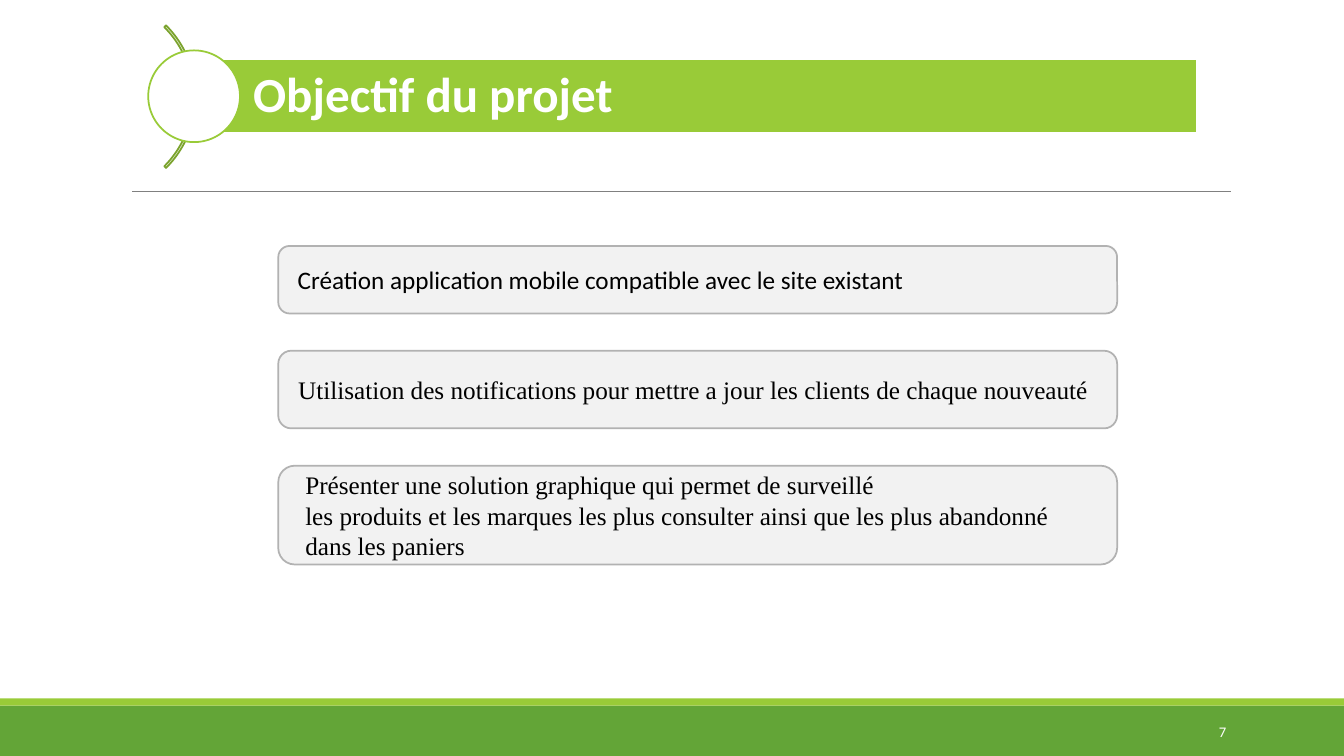
import pptx
import pptx.util
import pptx.dml.color
import pptx.enum.shapes
import pptx.enum.text
import pptx.oxml.ns
import lxml.etree
from dataclasses import dataclass

Inches = pptx.util.Inches
Pt = pptx.util.Pt
SHAPE = pptx.enum.shapes.MSO_SHAPE
ALIGN = pptx.enum.text.PP_ALIGN
MIDDLE = pptx.enum.text.MSO_ANCHOR.MIDDLE


@dataclass(frozen=True)
class Theme:
    white: str = "FFFFFF"
    black: str = "000000"
    green: str = "99CB38"
    dark_green: str = "63A537"
    arc_green: str = "7BA32D"
    card_fill: str = "F2F2F2"
    card_line: str = "B2B2B2"
    rule_gray: str = "808080"
    sans: str = "Calibri"
    serif: str = "Times New Roman"
    title_size: float = 35
    body_size: float = 18
    number_size: float = 10.5
    outline: float = 1.25
    hairline: float = 0.5


THEME = Theme()


def rgb(color):
    return pptx.dml.color.RGBColor.from_string(color)


def set_values(target, values):
    for name, value in values.items():
        setattr(target, name, value)


def add_block(page, kind, place, fill=None, line=None, adjustments=()):
    """Add a preset shape at (left, top, width, height) in inches."""
    block = page.shapes.add_shape(kind, *map(Inches, place))
    block.shadow.inherit = False
    for index, value in enumerate(adjustments):
        block.adjustments[index] = value
    if fill:
        block.fill.solid()
        block.fill.fore_color.rgb = rgb(fill)
    else:
        block.fill.background()
    if line:
        block.line.color.rgb = rgb(line)
        block.line.width = Pt(THEME.outline)
    else:
        block.line.fill.background()
    return block


def write_text(box, lines, font, color, frame_format=None, para_format=None):
    """Write one paragraph for each line of text."""
    frame = box.text_frame
    set_values(frame, {"word_wrap": True, "vertical_anchor": MIDDLE, **(frame_format or {})})
    for index, line in enumerate(lines):
        para = frame.paragraphs[0] if index == 0 else frame.add_paragraph()
        set_values(para, {"alignment": ALIGN.LEFT, **(para_format or {})})
        span = para.add_run()
        span.text = line
        set_values(span.font, font)
        span.font.color.rgb = rgb(color)


def add_rule(page, left, right, top):
    rule = page.shapes.add_connector(
        pptx.enum.shapes.MSO_CONNECTOR.STRAIGHT,
        Inches(left), Inches(top), Inches(right), Inches(top))
    rule.line.color.rgb = rgb(THEME.rule_gray)
    rule.line.width = Pt(THEME.hairline)
    properties = rule._element.spPr
    lxml.etree.SubElement(properties, pptx.oxml.ns.qn("a:effectLst"))


def add_card(page, top, height, lines, font_name, indent, alignment):
    card = add_block(page, SHAPE.ROUNDED_RECTANGLE, (2.76, top, 8.32, height),
                     THEME.card_fill, THEME.card_line, [0.167])
    write_text(card, lines, {"name": font_name, "size": Pt(THEME.body_size)}, THEME.black,
               {"margin_left": Inches(0.1 + indent)}, {"alignment": alignment})


def add_title(page, title):
    add_block(page, SHAPE.BLOCK_ARC, (-0.06, -0.04, 2, 2),
              line=THEME.arc_green, adjustments=[189, 27, 0.012])
    bar = add_block(page, SHAPE.RECTANGLE, (1.92, 0.59, 9.95, 0.73), THEME.green, THEME.white)
    margin = Inches(0.1)
    write_text(bar, [title],
               {"name": THEME.sans, "size": Pt(THEME.title_size), "bold": True}, THEME.white,
               {"margin_left": Inches(0.59), "margin_right": margin,
                "margin_top": margin, "margin_bottom": margin},
               {"line_spacing": 0.9})
    add_block(page, SHAPE.OVAL, (1.47, 0.5, 0.91, 0.91), THEME.white, THEME.green)


def add_page_number(page, number):
    box = page.shapes.add_textbox(*map(Inches, (10.83, 7.06, 1.43, 0.4)))
    write_text(box, [number], {"name": THEME.sans, "size": Pt(THEME.number_size)},
               THEME.white, para_format={"alignment": ALIGN.RIGHT})


def main():
    deck = pptx.Presentation()
    set_values(deck, {"slide_width": Inches(13.33), "slide_height": Inches(7.5)})
    page = deck.slides.add_slide(deck.slide_layouts[6])

    # Footer bands and heading rule
    add_block(page, SHAPE.RECTANGLE, (0, 7, 13.33, 0.5), THEME.dark_green)
    add_block(page, SHAPE.RECTANGLE, (0, 6.93, 13.33, 0.07), THEME.green)
    add_rule(page, 1.31, 12.21, 1.9)

    # Title
    add_title(page, "Objectif du projet")

    # Objective cards, stacked with an equal gap
    cards = [
        (0.67, ["Création application mobile compatible avec le site existant"],
         THEME.sans, 0.06, ALIGN.LEFT),
        (0.77, ["Utilisation des notifications pour mettre a jour les clients de chaque nouveauté"],
         THEME.serif, 0.06, ALIGN.LEFT),
        (0.98, ["Présenter une solution graphique qui permet de surveillé",
                "les produits et les marques les plus consulter ainsi que les plus abandonné",
                "dans les paniers"],
         THEME.serif, 0.12, ALIGN.JUSTIFY),
    ]
    top, gap = 2.44, 0.37
    for height, lines, font_name, indent, alignment in cards:
        add_card(page, top, height, lines, font_name, indent, alignment)
        top += height + gap

    # Page number
    add_page_number(page, "7")
    deck.save("out.pptx")


if __name__ == "__main__":
    main()
